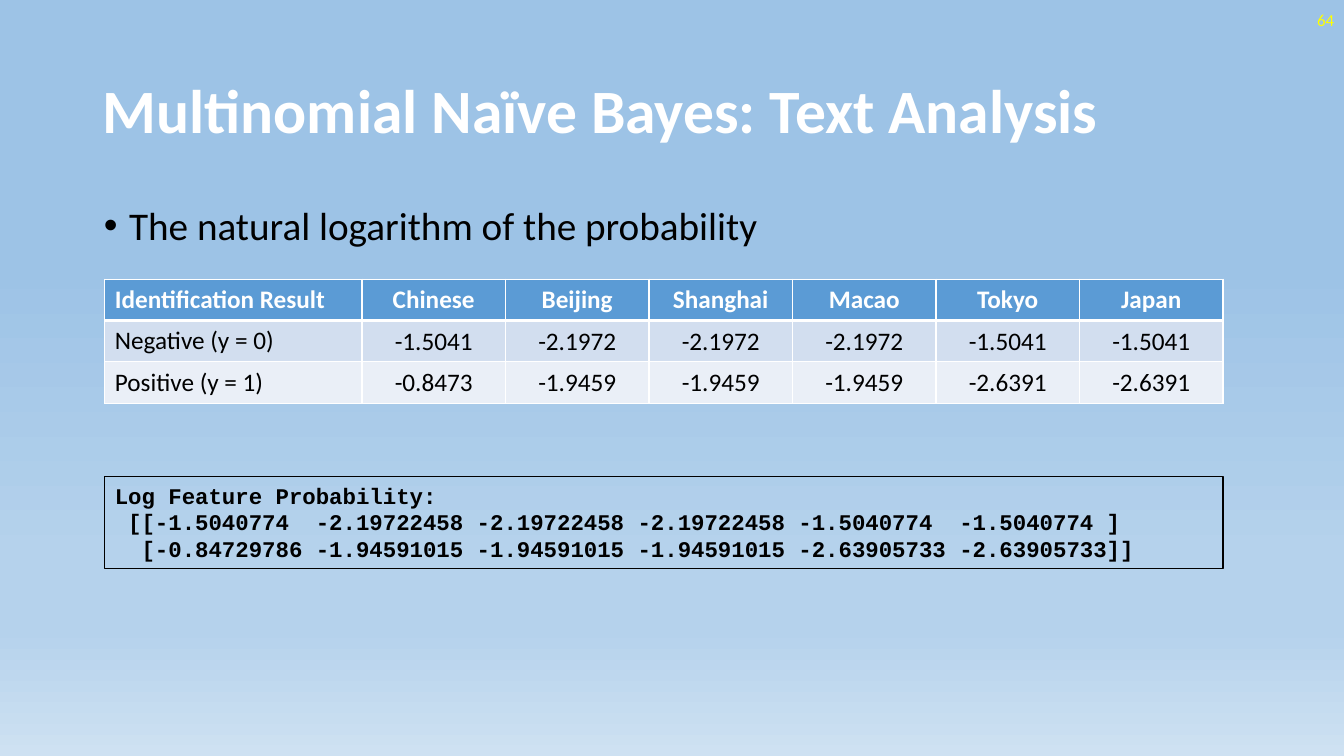
from lxml.etree import SubElement
from pptx import Presentation
from pptx.dml.color import RGBColor
from pptx.enum.text import MSO_ANCHOR, MSO_AUTO_SIZE, PP_ALIGN
from pptx.oxml.ns import qn
from pptx.util import Inches, Pt

WHITE = RGBColor(0xFF, 0xFF, 0xFF)
BLACK = RGBColor(0x00, 0x00, 0x00)
YELLOW = RGBColor(0xFF, 0xFF, 0x00)
HEADER_BLUE = RGBColor(0x5B, 0x9B, 0xD5)
BAND_DARK = RGBColor(0xD2, 0xDE, 0xEF)
BAND_LIGHT = RGBColor(0xEA, 0xEF, 0xF7)
BACKGROUND = [
    (35, RGBColor(0x9D, 0xC3, 0xE6)),
    (74, RGBColor(0xB5, 0xD2, 0xEC)),
    (83, RGBColor(0xB5, 0xD2, 0xEC)),
    (100, RGBColor(0xCE, 0xE1, 0xF2)),
]

LEFT, WIDTH = 1.04, 11.09
LABEL_WIDTH, ROW_HEIGHT = 2.55, 0.41

LOG_PROBABILITIES = [
    ["Identification Result", "Chinese", "Beijing", "Shanghai", "Macao", "Tokyo", "Japan"],
    ["Negative (y = 0)", "-1.5041", "-2.1972", "-2.1972", "-2.1972", "-1.5041", "-1.5041"],
    ["Positive (y = 1)", "-0.8473", "-1.9459", "-1.9459", "-1.9459", "-2.6391", "-2.6391"],
]
OUTPUT_LINES = [
    "Log Feature Probability:",
    " [[-1.5040774  -2.19722458 -2.19722458 -2.19722458 -1.5040774  -1.5040774 ]",
    "  [-0.84729786 -1.94591015 -1.94591015 -1.94591015 -2.63905733 -2.63905733]]",
]


def add_solid_fill(parent, color):
    fill = SubElement(parent, qn("a:solidFill"))
    SubElement(fill, qn("a:srgbClr"), val=str(color))


class SlideBuilder:
    def __init__(self, slide, font="Calibri"):
        self.slide = slide
        self.font = font

    def add_lines(self, tf, lines, align=PP_ALIGN.LEFT, color=BLACK, **font_format):
        values = {"name": self.font, "bold": False, **font_format}
        for i, line in enumerate(lines):
            p = tf.paragraphs[0] if i == 0 else tf.add_paragraph()
            p.alignment = align
            r = p.add_run()
            r.text = line
            for name, value in values.items():
                setattr(r.font, name, value)
            r.font.color.rgb = color

    def background(self, stops):
        fill = self.slide.background.fill
        fill.gradient()
        fill.gradient_angle = 270
        stop_list = next(self.slide.element.iter(qn("a:gsLst")))
        for stop in list(stop_list):
            stop_list.remove(stop)
        for percent, color in stops:
            stop = SubElement(stop_list, qn("a:gs"), pos=str(percent * 1000))
            SubElement(stop, qn("a:srgbClr"), val=str(color))

    def placeholder(self, index, box, text, anchor, bullet=False, **text_format):
        sp = self.slide.placeholders[index]
        sp.left, sp.top, sp.width, sp.height = map(Inches, box)
        tf = sp.text_frame
        tf.auto_size = MSO_AUTO_SIZE.NONE
        tf.vertical_anchor = anchor
        p = tf.paragraphs[0]
        p.line_spacing = 0.9
        p.space_before = Pt(0)
        if bullet:
            pPr = p._p.get_or_add_pPr()
            pPr.set("marL", str(Inches(0.25)))
            pPr.set("indent", str(-Inches(0.25)))
            SubElement(pPr, qn("a:buFont"), typeface="Arial")
            SubElement(pPr, qn("a:buChar"), char="•")
        self.add_lines(tf, [text], **text_format)

    def text_box(self, box, lines, anchor=MSO_ANCHOR.TOP, outline=None, **text_format):
        sp = self.slide.shapes.add_textbox(*map(Inches, box))
        tf = sp.text_frame
        tf.word_wrap = True
        tf.vertical_anchor = anchor
        if outline is not None:
            sp.line.color.rgb = outline
            sp.line.width = Pt(0.75)
        self.add_lines(tf, lines, **text_format)

    def cell_borders(self, cell, row):
        tcPr = cell._tc.get_or_add_tcPr()
        widths = {"L": 1, "R": 1, "T": 3 if row == 1 else 1, "B": 3 if row == 0 else 1}
        for side, width in widths.items():
            line = SubElement(tcPr, qn(f"a:ln{side}"), w=str(Pt(width)))
            add_solid_fill(line, WHITE)

    def table(self, rows, top):
        n_rows, n_cols = len(rows), len(rows[0])
        frame = self.slide.shapes.add_table(
            n_rows, n_cols, Inches(LEFT), Inches(top), Inches(WIDTH), Inches(ROW_HEIGHT * n_rows))
        table = frame.table
        value_width = (WIDTH - LABEL_WIDTH) / (n_cols - 1)
        for c, column in enumerate(table.columns):
            column.width = Inches(value_width if c else LABEL_WIDTH)
        fills = [HEADER_BLUE, BAND_DARK, BAND_LIGHT]
        for r, texts in enumerate(rows):
            table.rows[r].height = Inches(ROW_HEIGHT)
            for c, text in enumerate(texts):
                cell = table.cell(r, c)
                cell.vertical_anchor = MSO_ANCHOR.MIDDLE
                if r and c:
                    cell.margin_left = cell.margin_right = cell.margin_top = Inches(0.01)
                    cell.margin_bottom = 0
                self.cell_borders(cell, r)
                cell.fill.solid()
                cell.fill.fore_color.rgb = fills[r]
                self.add_lines(cell.text_frame, [text], size=Pt(18), bold=r == 0,
                               color=BLACK if r else WHITE,
                               align=PP_ALIGN.CENTER if c else PP_ALIGN.LEFT)


def main():
    prs = Presentation()
    prs.slide_width, prs.slide_height = Inches(13.33), Inches(7.5)
    s = SlideBuilder(prs.slides.add_slide(prs.slide_layouts[1]))
    s.background(BACKGROUND)
    s.placeholder(0, (0.92, 0.4, 11.5, 1.45), "Multinomial Naïve Bayes: Text Analysis",
                  MSO_ANCHOR.MIDDLE, size=Pt(44), bold=True, color=WHITE)
    s.placeholder(1, (0.93, 2, 11.5, 4.76), "The natural logarithm of the probability",
                  MSO_ANCHOR.TOP, bullet=True, size=Pt(28))
    s.text_box((10.33, 0, 3, 0.4), ["64"], MSO_ANCHOR.MIDDLE,
               align=PP_ALIGN.RIGHT, size=Pt(12), color=YELLOW)
    s.table(LOG_PROBABILITIES, 2.77)
    s.text_box((LEFT, 4.73, WIDTH, 0.91), OUTPUT_LINES, outline=BLACK,
               name="Courier New", size=Pt(16), bold=True)
    prs.save("out.pptx")


if __name__ == "__main__":
    main()
